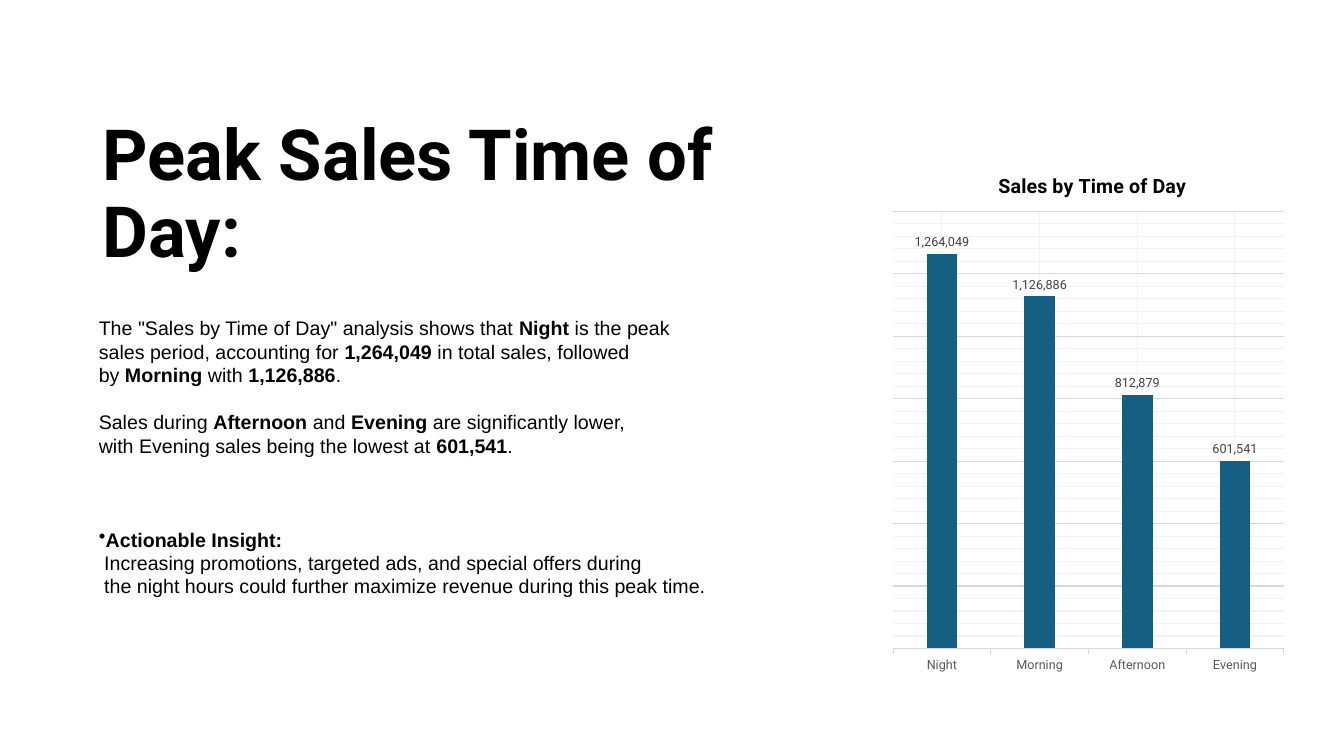
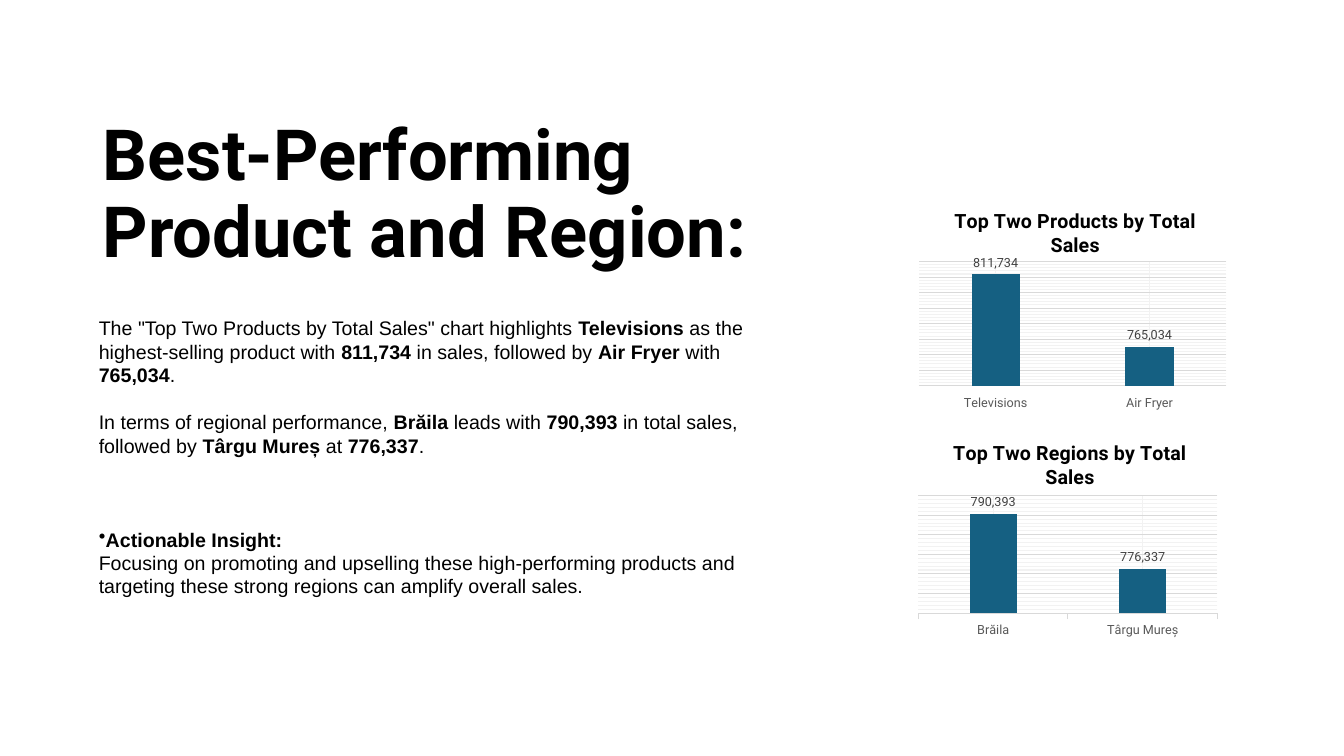
from pptx import Presentation
from pptx.chart.data import CategoryChartData
from pptx.dml.color import RGBColor
from pptx.enum.chart import XL_CHART_TYPE as ChartType
from pptx.enum.chart import XL_LABEL_POSITION as LabelPosition
from pptx.enum.chart import XL_TICK_LABEL_POSITION as TickLabels
from pptx.enum.chart import XL_TICK_MARK as Tick
from pptx.enum.text import MSO_ANCHOR as Anchor
from pptx.oxml import parse_xml
from pptx.oxml.ns import nsdecls
from pptx.util import Cm, Pt

# Shared look
BLACK = RGBColor(0x00, 0x00, 0x00)
BLUE = RGBColor(0x15, 0x60, 0x82)
LABEL_GREY = RGBColor(0x40, 0x40, 0x40)
AXIS_GREY = RGBColor(0x59, 0x59, 0x59)
LINE_GREY = RGBColor(0xD9, 0xD9, 0xD9)
MINOR_GREY = RGBColor(0xF2, 0xF2, 0xF2)

TITLE_FONT = {"name": "Roboto", "size": Pt(50.4), "bold": True}
BODY_FONT = {"name": "Arial", "size": Pt(14)}
CHART_FONT = {"name": "Roboto", "size": Pt(10)}
CHART_TITLE_FONT = {"name": "Roboto", "size": Pt(14), "bold": True}
SMALL_FONT = {"name": "Roboto", "size": Pt(9), "bold": False}

LINE_HEIGHT = 16.75  # points
TITLE_BOX = (2.34, 3.71, 17.09, 3.28)
BODY_BOX = (2.24, 7.85, 17.2, 9.3)

# Content: body lines are (blank lines before, bulleted, text with **bold**)
SLIDES = [
    {
        "title": "Peak Sales Time of Day:",
        "body": [
            (0, False, 'The "Sales by Time of Day" analysis shows that **Night** is the peak'),
            (0, False, "sales period, accounting for **1,264,049** in total sales, followed"),
            (0, False, "by **Morning** with **1,126,886**."),
            (1, False, "Sales during **Afternoon** and **Evening** are significantly lower,"),
            (0, False, "with Evening sales being the lowest at **601,541**."),
            (3, True, "**Actionable Insight:**"),
            (0, False, " Increasing promotions, targeted ads, and special offers during"),
            (0, False, " the night hours could further maximize revenue during this peak time."),
        ],
        "charts": [
            {
                "title": "Sales by Time of Day",
                "box": (22.3, 3.71, 10.26, 13.44),
                "values": {"Night": 1264049, "Morning": 1126886,
                           "Afternoon": 812879, "Evening": 601541},
                "scale": (0, 1400000, 200000, 40000),
                "tick": Tick.OUTSIDE,
                "title_at": (0.27, 0.04),
                "plot_at": (0.02, 0.12, 0.96, 0.82),
            },
        ],
    },
    {
        "title": "Best-Performing Product and Region:",
        "body": [
            (0, False, 'The "Top Two Products by Total Sales" chart highlights **Televisions** as the'),
            (0, False, "highest-selling product with **811,734** in sales, followed by "
                       "**Air Fryer** with **765,034**."),
            (1, False, "In terms of regional performance, **Brăila** leads with **790,393** in total sales,"),
            (0, False, "followed by **Târgu Mureș** at **776,337**."),
            (3, True, "**Actionable Insight:**"),
            (0, False, "Focusing on promoting and upselling these high-performing products and "
                       "targeting these strong regions can amplify overall sales."),
        ],
        "charts": [
            {
                "title": "Top Two Products by Total Sales",
                "box": (22.99, 4.75, 8.08, 5.59),
                "values": {"Televisions": 811734, "Air Fryer": 765034},
                "scale": (740000, 820000, 10000, 2000),
                "tick": Tick.NONE,
                "title_at": (0.12, 0.07),
                "plot_at": (0.02, 0.33, 0.96, 0.56),
            },
            {
                "title": "Top Two Regions by Total Sales",
                "box": (22.99, 10.59, 7.85, 5.59),
                "values": {"Brăila": 790393, "Târgu Mureș": 776337},
                "scale": (765000, 795000, 5000, 1000),
                "tick": Tick.OUTSIDE,
                "title_at": (0.12, 0.07),
                "plot_at": (0.02, 0.34, 0.96, 0.53),
            },
        ],
    },
]


def set_font(font, settings, color):
    for name, value in settings.items():
        setattr(font, name, value)
    font.color.rgb = color


def set_layout(element, index, fractions, target=""):
    """Place a chart part by fractions of the chart: x, y and maybe w, h."""
    for old in element.xpath("c:layout"):
        element.remove(old)
    keys = "xywh"[:len(fractions)]
    modes = "".join(f'<c:{key}Mode val="edge"/>' for key in "xy")
    sizes = "".join(f'<c:{key} val="{value}"/>' for key, value in zip(keys, fractions))
    element.insert(index, parse_xml(
        f'<c:layout {nsdecls("c")}><c:manualLayout>{target}{modes}{sizes}'
        "</c:manualLayout></c:layout>"))


deck = Presentation()
deck.slide_width, deck.slide_height = Cm(33.87), Cm(19.05)

for content in SLIDES:
    page = deck.slides.add_slide(deck.slide_layouts[6])

    # Title
    box = page.shapes.add_textbox(*map(Cm, TITLE_BOX))
    frame = box.text_frame
    frame.word_wrap = True
    frame.vertical_anchor = Anchor.BOTTOM
    para = frame.paragraphs[0]
    para.line_spacing = 0.9
    span = para.add_run()
    span.text = content["title"]
    set_font(span.font, TITLE_FONT, BLACK)

    # Body text
    box = page.shapes.add_textbox(*map(Cm, BODY_BOX))
    frame = box.text_frame
    frame.word_wrap = True
    for number, (gap, bulleted, text) in enumerate(content["body"]):
        para = frame.add_paragraph() if number else frame.paragraphs[0]
        para.line_spacing = Pt(LINE_HEIGHT)
        para.space_before = Pt(gap * LINE_HEIGHT)
        if bulleted:
            para._p.get_or_add_pPr().append(
                parse_xml(f'<a:buChar {nsdecls("a")} char="•"/>'))
        for part, words in enumerate(text.split("**")):
            if words:
                span = para.add_run()
                span.text = words
                set_font(span.font, BODY_FONT, BLACK)
                span.font.bold = part % 2 == 1

    # Column charts
    for item in content["charts"]:
        data = CategoryChartData(number_format="#,##0")
        data.categories = list(item["values"])
        data.add_series("Series 1", list(item["values"].values()))
        chart = page.shapes.add_chart(
            ChartType.COLUMN_CLUSTERED, *map(Cm, item["box"]), data).chart
        chart.has_legend = False
        set_font(chart.font, CHART_FONT, BLACK)

        chart.has_title = True
        title = chart.chart_title
        title.include_in_layout = False
        span = title.text_frame.paragraphs[0].add_run()
        span.text = item["title"]
        set_font(span.font, CHART_TITLE_FONT, BLACK)
        set_layout(title._element, 1, item["title_at"])
        set_layout(chart._chartSpace.chart.plotArea, 0, item["plot_at"],
                   '<c:layoutTarget val="inner"/>')

        # Columns and their labels
        plot = chart.plots[0]
        plot.gap_width, plot.overlap, plot.vary_by_categories = 219, -27, False
        fill = plot.series[0].format.fill
        fill.solid()
        fill.fore_color.rgb = BLUE
        plot.has_data_labels = True
        labels = plot.data_labels
        label_format = {"show_value": True, "position": LabelPosition.OUTSIDE_END,
                        "number_format": "#,##0", "number_format_is_linked": False}
        for name, value in label_format.items():
            setattr(labels, name, value)
        set_font(labels.font, SMALL_FONT, LABEL_GREY)

        # Axes and gridlines
        category_axis, value_axis = chart.category_axis, chart.value_axis
        category_axis.major_tick_mark = item["tick"]
        category_axis.tick_label_position = TickLabels.LOW
        set_font(category_axis.tick_labels.font, SMALL_FONT, AXIS_GREY)
        value_axis.visible = False
        scale_names = ("minimum_scale", "maximum_scale", "major_unit", "minor_unit")
        for name, value in zip(scale_names, item["scale"]):
            setattr(value_axis, name, value)
        value_axis.has_major_gridlines = True
        for line in (category_axis.format.line, value_axis.major_gridlines.format.line):
            line.color.rgb = LINE_GREY
            line.width = Pt(0.75)
        for axis in (category_axis, value_axis):
            axis.has_minor_gridlines = True
        for grid in chart._chartSpace.xpath(".//c:minorGridlines"):
            grid.append(parse_xml(
                f'<c:spPr {nsdecls("c", "a")}><a:ln w="{Pt(0.75)}"><a:solidFill>'
                f'<a:srgbClr val="{MINOR_GREY}"/></a:solidFill></a:ln></c:spPr>'))

deck.save("out.pptx")
